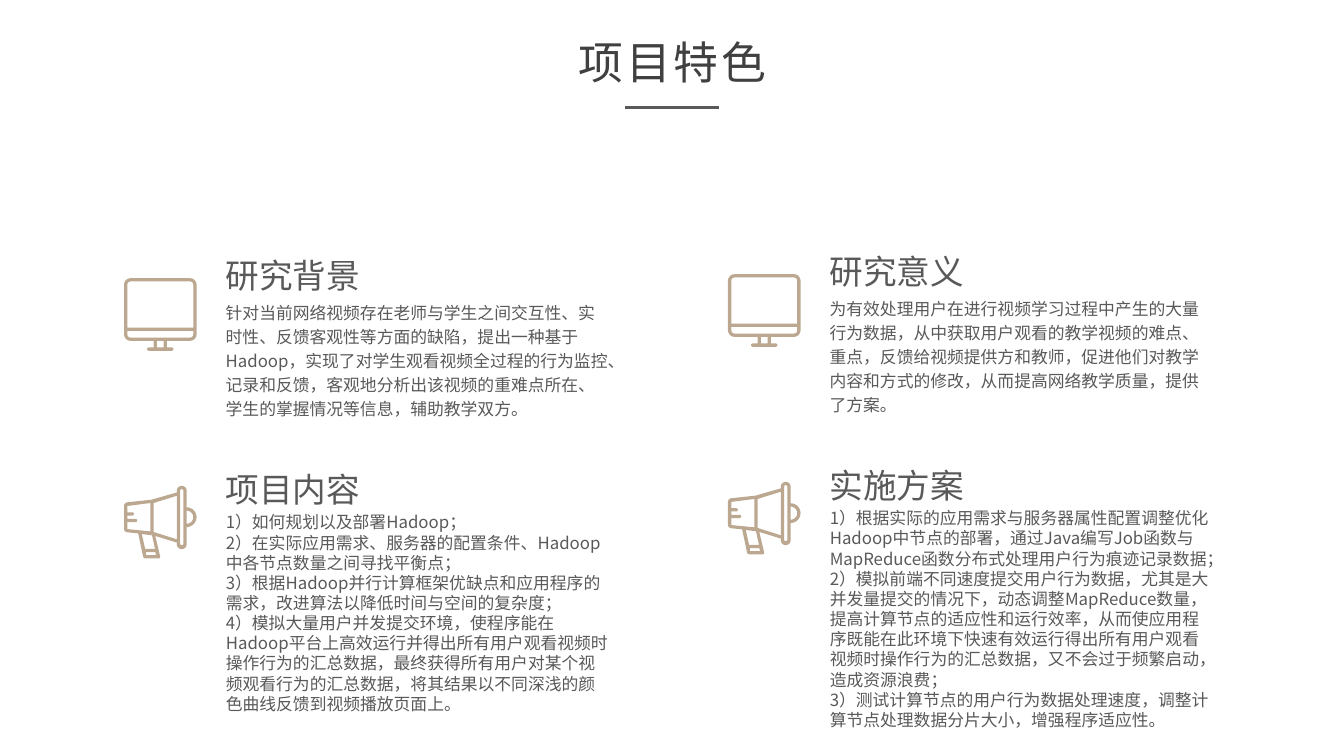
import pptx
import pptx.util
import pptx.dml.color
import pptx.enum.shapes
import pptx.enum.text
import lxml.etree
from pptx.oxml.ns import qn

Inches, Pt = pptx.util.Inches, pptx.util.Pt
PP = pptx.enum.text.PP_ALIGN
COLORS = {"title": "404040", "text": "595959", "icon": "BCA890"}
FONT = "Noto Sans CJK SC"

# Icons on a 22 x 22 grid: closed contours of corners (x, y, radius)
CELLS, ICON_SIZE = 22, 0.72
MONITOR = [
    [(0, 0, 2), (22, 0, 2), (22, 19, 2), (13, 19, 0), (13, 21, 0), (15, 21, 0.5),
     (15, 22, 0.5), (7, 22, 0.5), (7, 21, 0.5), (9, 21, 0), (9, 19, 0), (0, 19, 2)],
    [(1, 1, 1), (21, 1, 1), (21, 15, 0), (1, 15, 0)],
    [(1, 16, 0), (21, 16, 0), (21, 18, 1), (1, 18, 1)],
    [(10, 19, 0), (12, 19, 0), (12, 21, 0), (10, 21, 0)],
]
MEGAPHONE = [
    [(19, 6.5, 0), (22, 6.5, 3), (22, 12.5, 3), (19, 12.5, 0), (19, 19.2, 1.5),
     (16, 19.2, 1.5), (16, 17.2, 0), (9.5, 15.2, 0), (11.1, 22, 0.6), (5.9, 22, 0.6),
     (4.3, 14.4, 0), (0, 14, 1), (0, 5.1, 1), (8.3, 4.2, 0), (16, 2, 0),
     (16, 0, 1.5), (19, 0, 1.5)],
    [(19, 7.5, 0), (21, 7.5, 2), (21, 11.5, 2), (19, 11.5, 0)],
    [(17, 1, 0.5), (18, 1, 0.5), (18, 18, 0.5), (17, 18, 0.5)],
    [(9, 5.2, 0), (16, 3, 0), (16, 16.2, 0), (9, 14, 0)],
    [(6.6, 20.1, 0), (9.5, 20.1, 0), (9.75, 21, 0), (6.75, 21, 0)],
    [(5.4, 14.6, 0), (8.5, 15, 0), (9.4, 19.1, 0), (6.4, 19.1, 0)],
    [(1, 6.1, 0), (8, 5.2, 0), (8, 13.8, 0), (1, 13.1, 0), (1, 11, 0), (4, 11, 0.5),
     (4, 10, 0.5), (1, 10, 0), (1, 9, 0), (3, 9, 0.5), (3, 8, 0.5), (1, 8, 0)],
]

# Sections by row, left then right: icon, heading, paragraphs
ROWS = [
    [(MONITOR, "研究背景", ["针对当前网络视频存在老师与学生之间交互性、实时性、反馈客观性等方面的缺陷，提出一种基于Hadoop，实现了对学生观看视频全过程的行为监控、记录和反馈，客观地分析出该视频的重难点所在、学生的掌握情况等信息，辅助教学双方。"]),
     (MONITOR, "研究意义", ["为有效处理用户在进行视频学习过程中产生的大量行为数据，从中获取用户观看的教学视频的难点、重点，反馈给视频提供方和教师，促进他们对教学内容和方式的修改，从而提高网络教学质量，提供了方案。"])],
    [(MEGAPHONE, "项目内容", [
        "1）如何规划以及部署Hadoop；",
        "2）在实际应用需求、服务器的配置条件、Hadoop中各节点数量之间寻找平衡点；",
        "3）根据Hadoop并行计算框架优缺点和应用程序的需求，改进算法以降低时间与空间的复杂度；",
        "4）模拟大量用户并发提交环境，使程序能在Hadoop平台上高效运行并得出所有用户观看视频时操作行为的汇总数据，最终获得所有用户对某个视频观看行为的汇总数据，将其结果以不同深浅的颜色曲线反馈到视频播放页面上。"]),
     (MEGAPHONE, "实施方案", [
        "1）根据实际的应用需求与服务器属性配置调整优化Hadoop中节点的部署，通过Java编写Job函数与MapReduce函数分布式处理用户行为痕迹记录数据；",
        "2）模拟前端不同速度提交用户行为数据，尤其是大并发量提交的情况下，动态调整MapReduce数量，提高计算节点的适应性和运行效率，从而使应用程序既能在此环境下快速有效运行得出所有用户观看视频时操作行为的汇总数据，又不会过于频繁启动，造成资源浪费；",
        "3）测试计算节点的用户行为数据处理速度，调整计算节点处理数据分片大小，增强程序适应性。"])],
]


def write(box, place, paragraphs, size, color="text", spacing=1.0, align=PP.LEFT, tracking=0):
    """Place a text box or placeholder and fill it with plain, unbulleted paragraphs."""
    box.left, box.top, box.width, box.height = (Inches(length) for length in place)
    frame = box.text_frame
    frame.word_wrap = True
    frame.auto_size = pptx.enum.text.MSO_AUTO_SIZE.SHAPE_TO_FIT_TEXT
    frame.vertical_anchor = pptx.enum.text.MSO_ANCHOR.TOP
    for number, text in enumerate(paragraphs):
        paragraph = frame.add_paragraph() if number else frame.paragraphs[0]
        paragraph.alignment = align
        paragraph.line_spacing = spacing
        paragraph.space_before = Pt(0)
        properties = paragraph._p.get_or_add_pPr()
        properties.set("marL", "0")
        properties.set("indent", "0")
        lxml.etree.SubElement(properties, qn("a:buNone"))
        run = paragraph.add_run()
        run.text = text
        run.font.size = Pt(size)
        run.font.color.rgb = pptx.dml.color.RGBColor.from_string(COLORS[color])
        run.font.name = FONT
        run_properties = run._r.get_or_add_rPr()
        lxml.etree.SubElement(run_properties, qn("a:ea"), typeface=FONT)
        if tracking:
            run_properties.set("spc", str(tracking))


def rounded(corners):
    """Points of a closed contour, in hundredths of a cell, with arcs at its corners."""
    points = []
    for i, (x, y, radius) in enumerate(corners):
        if not radius:
            points.append((x * 100, y * 100))
            continue
        ends = []
        for nx, ny, _ in (corners[i - 1], corners[(i + 1) % len(corners)]):
            share = radius / ((nx - x) ** 2 + (ny - y) ** 2) ** 0.5
            ends.append(((nx - x) * share, (ny - y) * share))
        (ax, ay), (bx, by) = ends
        for t in (0, 0.2, 0.4, 0.6, 0.8, 1):
            a = (1 - t) ** 3 + 1.35 * t * (1 - t) ** 2
            b = t ** 3 + 1.35 * t ** 2 * (1 - t)
            points.append(((x + a * ax + b * bx) * 100, (y + a * ay + b * by) * 100))
    return points


deck = pptx.Presentation()
deck.slide_width, deck.slide_height = Inches(13.33), Inches(7.5)
slide = deck.slides.add_slide(deck.slide_layouts.get_by_name("Two Content"))
shapes = slide.shapes
list_places = list(slide.placeholders)[1:]

write(shapes.title, (4.79, 0.3, 3.76, 0.61), ["项目特色"], 32, "title", align=PP.CENTER, tracking=220)
shapes.title.text_frame.margin_left = shapes.title.text_frame.margin_right = Inches(0.07)
shapes.title.text_frame.margin_top = shapes.title.text_frame.margin_bottom = Inches(0.04)

underline = shapes.add_connector(pptx.enum.shapes.MSO_CONNECTOR.STRAIGHT,
                                 Inches(6.2), Inches(1.07), Inches(7.13), Inches(1.07))
underline.line.color.rgb = pptx.dml.color.RGBColor.from_string(COLORS["text"])
underline.line.width = Pt(2.25)
lxml.etree.SubElement(underline._element.spPr, qn("a:effectLst"))

COLUMN_STEP, COLUMN_RISE = 5.99, 0.04
HEADING_TOPS, ICON_TOPS, BODY_HEIGHTS = (2.4, 4.52), (2.76, 4.82), (1.31, 2.12)
for row, sections in enumerate(ROWS):
    for column, (icon, heading, paragraphs) in enumerate(sections):
        left = 2.14 + column * COLUMN_STEP
        top = HEADING_TOPS[row] - column * COLUMN_RISE
        write(shapes.add_textbox(0, 0, 0, 0), (left, top, 4.01, 0.52), [heading], 24, spacing=1.2)
        is_list = len(paragraphs) > 1
        body = list_places[column] if is_list else shapes.add_textbox(0, 0, 0, 0)
        write(body, (left, top + 0.51, 4.01, BODY_HEIGHTS[row] + 0.2 * column * row),
              paragraphs, 12, spacing=1.0 if is_list else 1.2)

        contours = [rounded(corners) for corners in icon]
        builder = shapes.build_freeform(*contours[0][0], scale=Inches(ICON_SIZE) / CELLS / 100)
        for number, contour in enumerate(contours):
            if number:
                builder.move_to(*contour[0])
            builder.add_line_segments(contour[1:], close=True)
        symbol = builder.convert_to_shape(Inches(left - 0.91),
                                          Inches(ICON_TOPS[row] - column * COLUMN_RISE))
        symbol.shadow.inherit = False
        symbol.fill.solid()
        symbol.fill.fore_color.rgb = pptx.dml.color.RGBColor.from_string(COLORS["icon"])
        symbol.line.fill.background()

deck.save("out.pptx")
